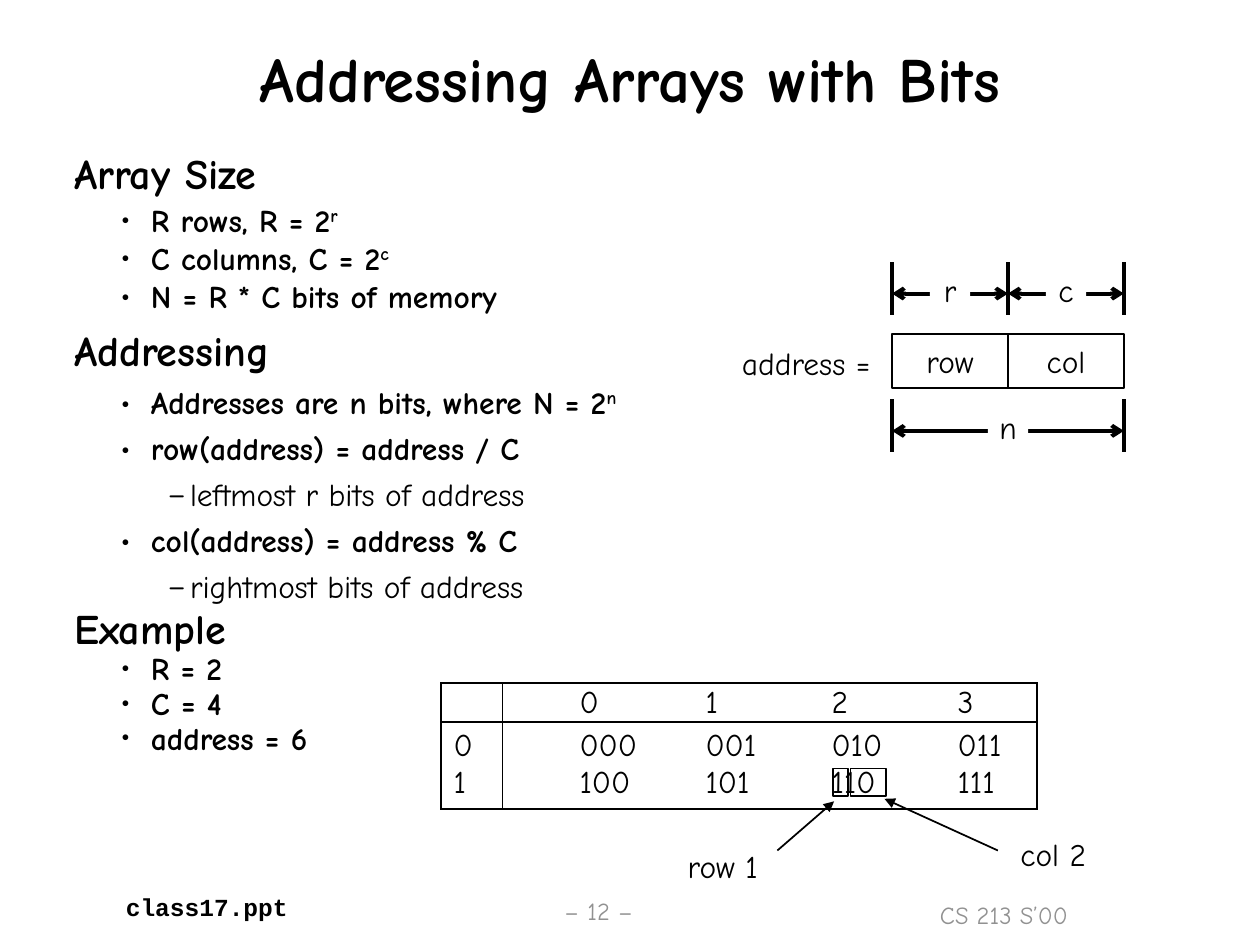
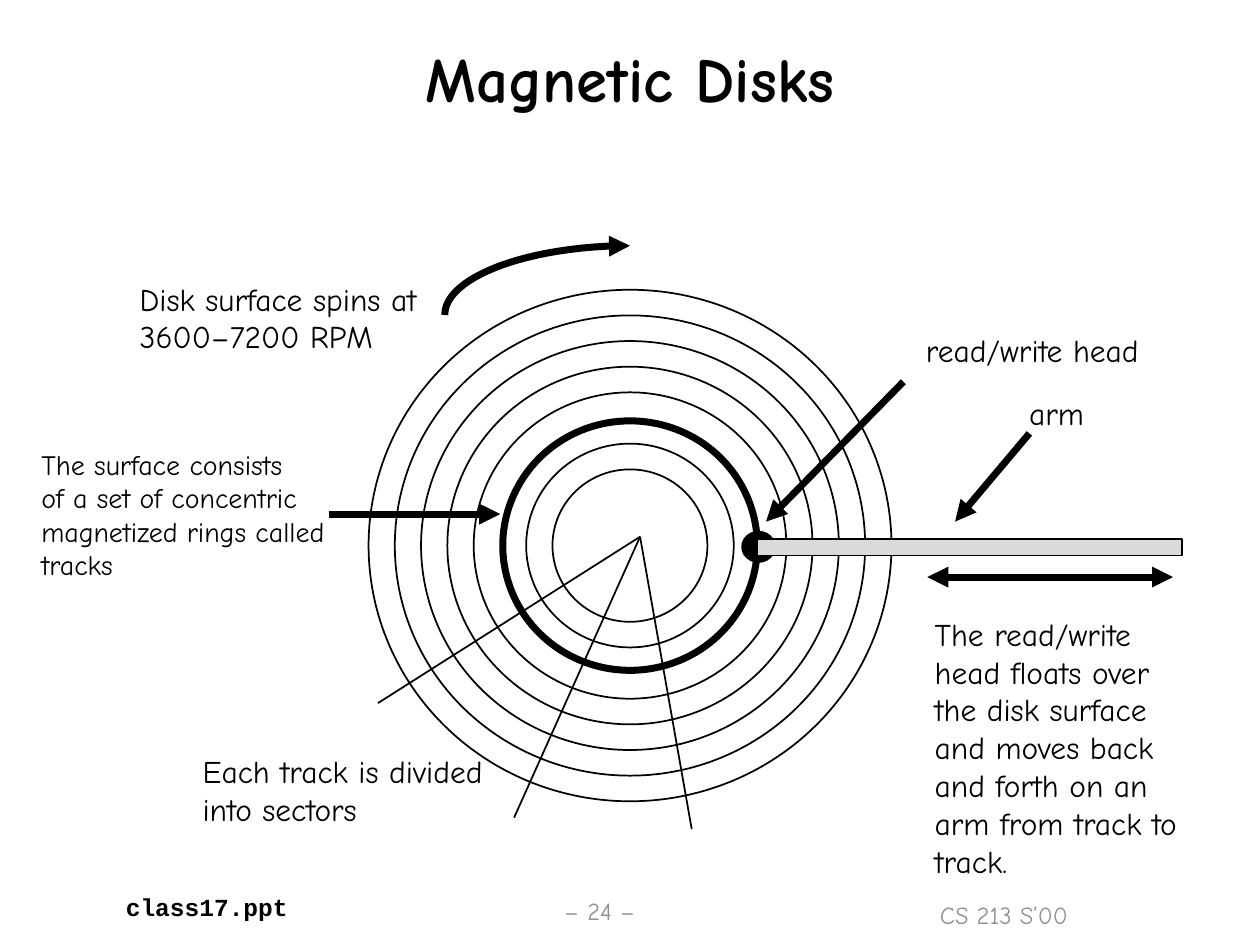
from lxml import etree
from pptx import Presentation
from pptx.dml.color import RGBColor
from pptx.enum.shapes import MSO_CONNECTOR, MSO_SHAPE
from pptx.enum.text import MSO_ANCHOR, MSO_AUTO_SIZE, PP_ALIGN
from pptx.oxml.ns import qn
from pptx.util import Inches, Pt

STRAIGHT = MSO_CONNECTOR.STRAIGHT
RECTANGLE, OVAL = MSO_SHAPE.RECTANGLE, MSO_SHAPE.OVAL
LEFT, CENTER = PP_ALIGN.LEFT, PP_ALIGN.CENTER
TOP, MIDDLE, BOTTOM = MSO_ANCHOR.TOP, MSO_ANCHOR.MIDDLE, MSO_ANCHOR.BOTTOM
NO_AUTOSIZE = MSO_AUTO_SIZE.NONE
TITLE_ONLY = 5
BLACK, WHITE, GRAY, ARM_GRAY = "000000", "FFFFFF", "919191", "DADADA"
BODY_FONT, FILE_FONT = "Comic Neue", "Courier New"
TEXT_INSETS, TIGHT_INSETS = (0.1, 0.05), (0.07, 0.03)
BULLETS = {1: ("•", 0.61, -0.24), 2: ("–", 0.92, -0.18)}

ARRAY_OUTLINE = [
    (0, 0.9, "Array Size", ""),
    (1, 0.7, "R rows, R = 2", "r"),
    (1, 0.7, "C columns, C = 2", "c"),
    (1, 0.7, "N = R * C bits of memory", ""),
    (0, 0.9, "Addressing", ""),
    (1, 0.9, "Addresses are n bits, where N = 2", "n"),
    (1, 0.9, "row(address) = address / C", ""),
    (2, 0.9, "leftmost r bits of address", ""),
    (1, 0.9, "col(address) = address % C", ""),
    (2, 0.9, "rightmost bits of address", ""),
    (0, 0.6, "Example", ""),
    (1, 0.6, "R = 2", ""),
    (1, 0.6, "C = 4", ""),
    (1, 0.6, "address = 6", ""),
]
ADDRESS_TABLE = [
    ["", "0", "1", "2", "3"],
    ["0", "000", "001", "010", "011"],
    ["1", "100", "101", "110", "111"],
]


def color(hex_string):
    """Turn a hex string into a colour."""
    return RGBColor.from_string(hex_string)


def inches(values):
    """Convert several numbers to lengths."""
    return [Inches(value) for value in values]


class Deck:
    """Hold the style and the current slide."""

    def __init__(self):
        """Start an empty 10 by 7.5 inch presentation."""
        self.presentation = Presentation()
        self.presentation.slide_width = Inches(10)
        self.presentation.slide_height = Inches(7.5)
        self.slide = None

    def new_slide(self, title, title_width, number):
        """Add a slide with its title and footers."""
        layout = self.presentation.slide_layouts[TITLE_ONLY]
        self.slide = self.presentation.slides.add_slide(layout)
        shape = self.slide.shapes.title
        shape.left, shape.top, shape.width, shape.height = inches(
            (5 - title_width / 2, 0.33, title_width, 0.63))
        self.frame(shape, TIGHT_INSETS, True, TOP)
        paragraph = shape.text_frame.paragraphs[0]
        paragraph.alignment, paragraph.line_spacing = CENTER, 0.95
        self.run(paragraph, title, 36, bold=True)
        for text, box in (("CS 213 S’00", (7.39, 7.14, 1.16, 0.27)),
                          (f"– {number} –", (4.41, 7.11, 1.36, 0.27))):
            self.text(box, [text], 14, GRAY, insets=TIGHT_INSETS,
                      wrap=True, line_spacing=0.9, fill=WHITE)
        self.text((0.9, 7.03, 1.49, 0.33), ["class17.ppt"], 14,
                  font=FILE_FONT, bold=True)

    def frame(self, shape, insets, wrap, anchor):
        """Set margins, wrapping and anchor of a text frame."""
        text_frame = shape.text_frame
        text_frame.auto_size = NO_AUTOSIZE
        text_frame.word_wrap = wrap
        text_frame.vertical_anchor = anchor
        text_frame.margin_left = text_frame.margin_right = Inches(insets[0])
        text_frame.margin_top = text_frame.margin_bottom = Inches(insets[1])

    def run(self, paragraph, text, size=18, ink=BLACK, font=BODY_FONT, bold=False):
        """Add one formatted run."""
        run = paragraph.add_run()
        run.text = text
        run.font.name, run.font.size, run.font.bold = font, Pt(size), bold
        run.font.color.rgb = color(ink)
        return run

    def text(self, box, lines, size=18, ink=BLACK, font=BODY_FONT, bold=False,
             insets=TEXT_INSETS, wrap=False, align=LEFT, line_spacing=1.0, fill=None):
        """Add a text box with one paragraph per line."""
        shape = self.slide.shapes.add_textbox(*inches(box))
        self.frame(shape, insets, wrap, TOP)
        if fill:
            shape.fill.solid()
            shape.fill.fore_color.rgb = color(fill)
        for index, line in enumerate(lines):
            text_frame = shape.text_frame
            paragraph = text_frame.add_paragraph() if index else text_frame.paragraphs[0]
            paragraph.alignment, paragraph.line_spacing = align, line_spacing
            self.run(paragraph, line, size, ink, font, bold)

    def outline(self, box, items):
        """Add headings with bulleted levels and superscripts."""
        shape = self.slide.shapes.add_textbox(*inches(box))
        self.frame(shape, TEXT_INSETS, True, TOP)
        for index, (level, line_spacing, text, exponent) in enumerate(items):
            text_frame = shape.text_frame
            paragraph = text_frame.add_paragraph() if index else text_frame.paragraphs[0]
            if level:
                character, margin, indent = BULLETS[level]
                properties = paragraph._p.get_or_add_pPr()
                properties.set("marL", str(Inches(margin)))
                properties.set("indent", str(Inches(indent)))
                etree.SubElement(properties, qn("a:buFont")).set("typeface", BODY_FONT)
                etree.SubElement(properties, qn("a:buChar")).set("char", character)
            paragraph.level = level
            paragraph.line_spacing = line_spacing
            if index:
                paragraph.space_before = Pt(6.8 if level else 9)
            size = 18 if level else 24
            self.run(paragraph, text, size, bold=level < 2)
            if exponent:
                raised = self.run(paragraph, exponent, size, bold=True)
                raised._r.get_or_add_rPr().set("baseline", "30000")

    def shape(self, kind, box, fill=None, width=1, label=""):
        """Add an outlined preset shape with an optional label."""
        shape = self.slide.shapes.add_shape(kind, *inches(box))
        self.paint(shape, fill, width)
        if label:
            self.frame(shape, TEXT_INSETS, False, MIDDLE)
            paragraph = shape.text_frame.paragraphs[0]
            paragraph.alignment = CENTER
            self.run(paragraph, label)

    def paint(self, shape, fill, width):
        """Set fill and black outline without shadow."""
        shape.shadow.inherit = False
        if fill:
            shape.fill.solid()
            shape.fill.fore_color.rgb = color(fill)
        else:
            shape.fill.background()
        shape.line.color.rgb = color(BLACK)
        shape.line.width = Pt(width)

    def arrowheads(self, shape, head, tail):
        """Put arrowheads on the ends of a line."""
        line = shape.line._get_or_add_ln()
        for tag, kind in (("a:headEnd", head), ("a:tailEnd", tail)):
            if kind:
                etree.SubElement(line, qn(tag)).set("type", kind)

    def line(self, start, end, width=1, head=None, tail=None):
        """Add a straight line or arrow."""
        connector = self.slide.shapes.add_connector(STRAIGHT, *inches((*start, *end)))
        connector.line.color.rgb = color(BLACK)
        connector.line.width = Pt(width)
        etree.SubElement(connector._element.spPr, qn("a:effectLst"))
        self.arrowheads(connector, head, tail)

    def curve(self, controls, width, steps=24):
        """Add a cubic curve that ends in an arrowhead."""
        points = []
        for step in range(steps + 1):
            t = step / steps
            weights = ((1 - t) ** 3, 3 * t * (1 - t) ** 2, 3 * t * t * (1 - t), t ** 3)
            points.append([Inches(sum(w * point[axis] for w, point in zip(weights, controls)))
                           for axis in (0, 1)])
        builder = self.slide.shapes.build_freeform(*points[0])
        builder.add_line_segments(points[1:], close=False)
        shape = builder.convert_to_shape()
        self.paint(shape, None, width)
        self.arrowheads(shape, None, "triangle")

    def dimension(self, edges, top, labels):
        """Add labelled measuring arrows between upright ticks."""
        for left, right, label in zip(edges, edges[1:], labels):
            self.line((left, top + 0.25), (right, top + 0.25), 2.25, "arrow", "arrow")
            self.text(((left + right) / 2 - 0.16, top + 0.02, 0.32, 0.4), [label],
                      align=CENTER, fill=WHITE)
        for edge in edges:
            self.line((edge, top), (edge, top + 0.42), 2.25)

    def table(self, corner, widths, indents, heights, rows):
        """Add a table ruled around its frame, header row and first column."""
        box = (*corner, sum(widths), sum(heights))
        table = self.slide.shapes.add_table(len(rows), len(widths), *inches(box)).table
        table.first_row = table.horz_banding = False
        for column, width in zip(table.columns, widths):
            column.width = Inches(width)
        for row, height in zip(table.rows, heights):
            row.height = Inches(height)
        last_row, last_column = len(rows) - 1, len(widths) - 1
        for y, row in enumerate(rows):
            for x, value in enumerate(row):
                cell = table.cell(y, x)
                cell.fill.background()
                cell.margin_left = Inches(indents[x])
                cell.margin_right = cell.margin_top = cell.margin_bottom = 0
                cell.vertical_anchor = TOP if y == last_row else BOTTOM
                if value:
                    self.run(cell.text_frame.paragraphs[0], value)
                self.borders(cell, {"a:lnL": x < 2, "a:lnR": x in (0, last_column),
                                    "a:lnT": y < 2, "a:lnB": y in (0, last_row)})

    def borders(self, cell, sides):
        """Draw or hide each side of a cell."""
        properties = cell._tc.get_or_add_tcPr()
        for index, (tag, drawn) in enumerate(sides.items()):
            border = etree.Element(qn(tag), w=str(Pt(1)))
            fill = etree.SubElement(border, qn("a:solidFill" if drawn else "a:noFill"))
            if drawn:
                etree.SubElement(fill, qn("a:srgbClr")).set("val", BLACK)
            properties.insert(index, border)


def addressing_slide(deck):
    """Build the slide on addressing arrays."""
    deck.new_slide("Addressing Arrays with Bits", 7, 12)
    deck.outline((0.49, 1.17, 9.03, 5.75), ARRAY_OUTLINE)
    deck.text((5.79, 2.68, 1.22, 0.4), ["address ="])
    for left, label in ((7.08, "row"), (8, "col")):
        deck.shape(RECTANGLE, (left, 2.65, 0.92, 0.43), label=label)
    deck.dimension((7.08, 8, 8.92), 2.08, "rc")
    deck.dimension((7.08, 8.92), 3.17, "n")
    deck.table((3.5, 5.42), (0.49, 1.51, 1, 1, 0.73), (0.1, 0.61, 0.1, 0.1, 0.1),
               (0.31, 0.34, 0.35), ADDRESS_TABLE)
    for left, width in ((6.61, 0.12), (6.75, 0.28)):
        deck.shape(RECTANGLE, (left, 6.1, width, 0.22))
    deck.text((5.36, 6.67, 0.76, 0.4), ["row 1"])
    deck.text((8, 6.58, 0.72, 0.4), ["col 2"])
    deck.line((6.17, 6.75), (6.62, 6.36), tail="triangle")
    deck.line((7.92, 6.75), (7.02, 6.34), tail="triangle")


def disk_slide(deck):
    """Build the slide on magnetic disks."""
    deck.new_slide("Magnetic Disks", 3.78, 24)
    center_x, center_y, marked_track = 5, 4.33, 5
    for track in range(8):
        width, height = 4.15 - 2.92 * track / 7, 4.06 - 2.85 * track / 7
        if track == marked_track:
            width, height = 2.02, 1.98
        deck.shape(OVAL, (center_x - width / 2, center_y - height / 2, width, height),
                   width=4 if track == marked_track else 1)
    deck.shape(OVAL, (5.89, 4.22, 0.26, 0.24), BLACK)
    deck.shape(RECTANGLE, (6.01, 4.28, 3.37, 0.13), ARM_GRAY)
    for sector_end in ((3, 5.58), (4.08, 6.49), (5.49, 6.58)):
        deck.line((5.08, 4.26), sector_end)
    deck.curve(((3.53, 2.5), (3.53, 2.2), (4.19, 1.95), (5, 1.95)), 4)
    for start, end in (((7.17, 3.03), (6.08, 4.14)), ((8.17, 3.44), (7.58, 4.14)),
                       ((2.61, 4.08), (3.97, 4.08))):
        deck.line(start, end, 4, tail="triangle")
    deck.line((7.36, 4.58), (9.31, 4.58), 4, "triangle", "triangle")
    deck.text((1.01, 2.17, 2.4, 0.7), ["Disk surface spins at", "3600–7200 RPM"])
    deck.text((7.25, 2.58, 1.9, 0.4), ["read/write head"])
    deck.text((8.07, 3.08, 0.63, 0.4), ["arm"])
    deck.text((0.23, 3.5, 2.53, 1.16),
              ["The surface consists", "of a set of concentric",
               "magnetized rings called tracks"], 16, wrap=True)
    deck.text((1.51, 5.92, 2.43, 0.7), ["Each track is divided", "into sectors"])
    deck.text((7.32, 4.83, 2.18, 2.2),
              ["The read/write head floats over the disk surface and moves "
               "back and forth on an arm from track to track."], wrap=True)


def main():
    """Build and save the presentation."""
    deck = Deck()
    addressing_slide(deck)
    disk_slide(deck)
    deck.presentation.save("out.pptx")


if __name__ == "__main__":
    main()
